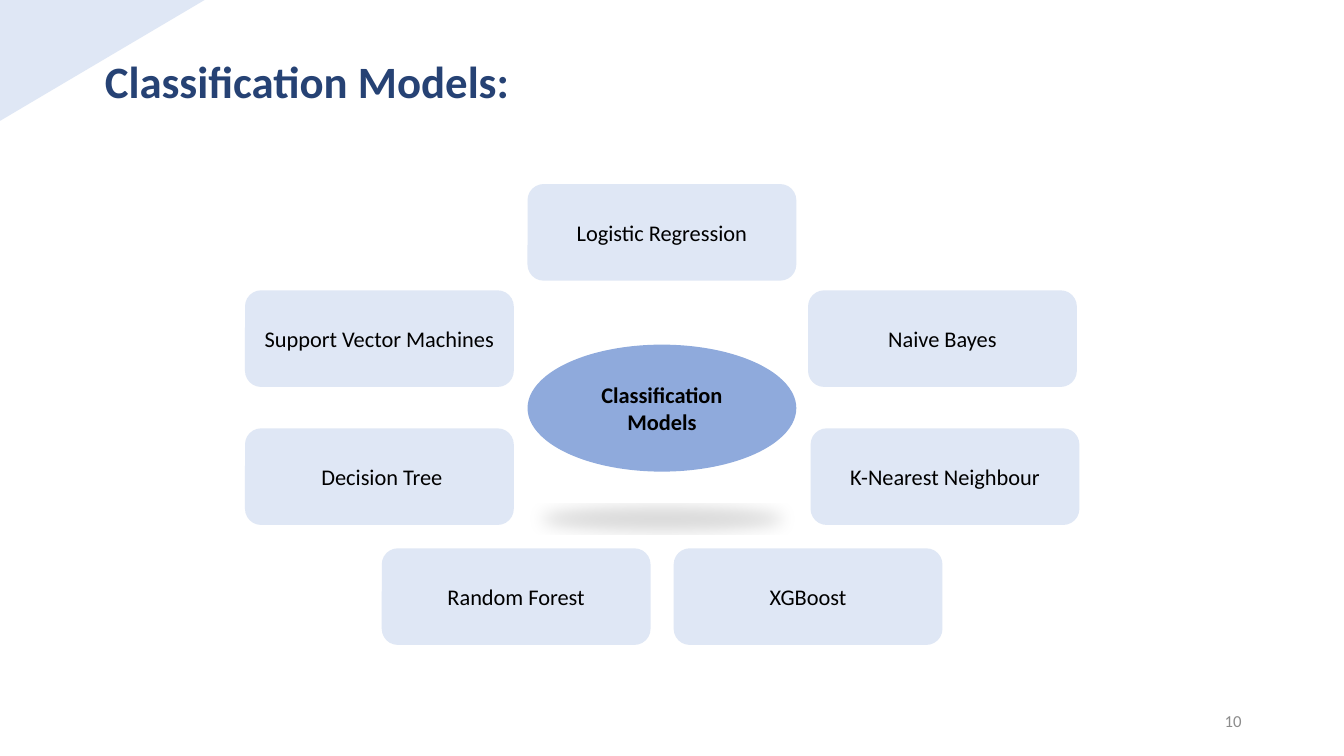
import pptx
import pptx.dml.color
import pptx.enum.shapes
import pptx.enum.text
import pptx.oxml
import pptx.oxml.ns
import pptx.util

Pt = pptx.util.Pt
RGBColor = pptx.dml.color.RGBColor
SHAPE = pptx.enum.shapes.MSO_SHAPE
ALIGN = pptx.enum.text.PP_ALIGN
ANCHOR = pptx.enum.text.MSO_ANCHOR

PALE_BLUE = RGBColor(0xDF, 0xE7, 0xF5)
MID_BLUE = RGBColor(0x8F, 0xAA, 0xDC)
NAVY = RGBColor(0x26, 0x42, 0x74)
GRAY = RGBColor(0x8C, 0x8C, 0x8C)
BLACK = RGBColor(0, 0, 0)

BOX_SIZE = (192, 69)
CENTER_LEFT = 376.8
LEFT = 175
MODELS = [
    ("Logistic Regression", CENTER_LEFT, 131.5),
    ("Support Vector Machines", LEFT, 207.4),
    (" Decision Tree", LEFT, 306),
    ("XGBoost", 481.2, 391.7),
    ("Naive Bayes", 577.2, 207.4),
    ("K-Nearest Neighbour", 579, 306),
    ("Random Forest", 272.7, 391.7),
]


class SlideBuilder:
    font = "Calibri"

    def __init__(self, presentation):
        self.slide = presentation.slides.add_slide(presentation.slide_layouts[5])

    def add_text(self, shape, lines, size, color, bold=False,
                 align=ALIGN.CENTER, anchor=ANCHOR.MIDDLE):
        frame = shape.text_frame
        frame.word_wrap = True
        frame.auto_size = pptx.enum.text.MSO_AUTO_SIZE.NONE
        frame.vertical_anchor = anchor
        for index, line in enumerate(lines):
            paragraph = frame.add_paragraph() if index else frame.paragraphs[0]
            paragraph.alignment = align
            run = paragraph.add_run()
            run.text = line
            run.font.name = self.font
            run.font.size = Pt(size)
            run.font.bold = bold
            run.font.color.rgb = color

    def title(self, text, left, top, width, height):
        title = self.slide.shapes.title
        title.left, title.top = Pt(left), Pt(top)
        title.width, title.height = Pt(width), Pt(height)
        self.add_text(title, [text], 32, NAVY, True, ALIGN.LEFT, ANCHOR.TOP)

    def shape(self, kind, left, top, width, height, fill, parent=None):
        shapes = (parent or self.slide).shapes
        shape = shapes.add_shape(kind, Pt(left), Pt(top), Pt(width), Pt(height))
        shape.fill.solid()
        shape.fill.fore_color.rgb = fill
        shape.line.fill.background()
        shape.shadow.inherit = False
        return shape

    def floor_shadow(self, shape):
        """Cast a flattened, mirrored shadow below the shape."""
        effects = shape._element.spPr.find(pptx.oxml.ns.qn("a:effectLst"))
        effects.append(pptx.oxml.parse_xml(
            f'<a:outerShdw {pptx.oxml.ns.nsdecls("a")} blurRad="{Pt(12)}" dist="{Pt(25)}" '
            'dir="5400000" sx="90000" sy="-19000" rotWithShape="0">'
            '<a:srgbClr val="000000"><a:alpha val="15000"/></a:srgbClr></a:outerShdw>'))

    def diagram(self):
        group = self.slide.shapes.add_group_shape()
        for name, left, top in MODELS:
            box = self.shape(SHAPE.ROUNDED_RECTANGLE, left, top, *BOX_SIZE, PALE_BLUE, group)
            self.add_text(box, [name], 16, BLACK)
        hub = self.shape(SHAPE.OVAL, CENTER_LEFT, 246.2, BOX_SIZE[0], 90.7, MID_BLUE, group)
        self.floor_shadow(hub)
        self.add_text(hub, ["Classification", "Models"], 16, BLACK, True)

    def corner(self):
        corner = self.shape(SHAPE.HALF_FRAME, 0, 0, 146.2, 86.4, PALE_BLUE)
        corner.adjustments[0] = 0.82
        corner.adjustments[1] = 0.33

    def page_number(self, number):
        box = self.slide.shapes.add_textbox(Pt(678), Pt(500.5), Pt(216), Pt(28.8))
        self.add_text(box, [number], 12, GRAY, align=ALIGN.RIGHT)


def main():
    presentation = pptx.Presentation()
    presentation.slide_width, presentation.slide_height = Pt(960), Pt(540)
    builder = SlideBuilder(presentation)
    builder.diagram()
    builder.title("Classification Models:", 67.7, 34.6, 350.6, 46.1)
    builder.corner()
    builder.page_number("10")
    presentation.save("out.pptx")


if __name__ == "__main__":
    main()
